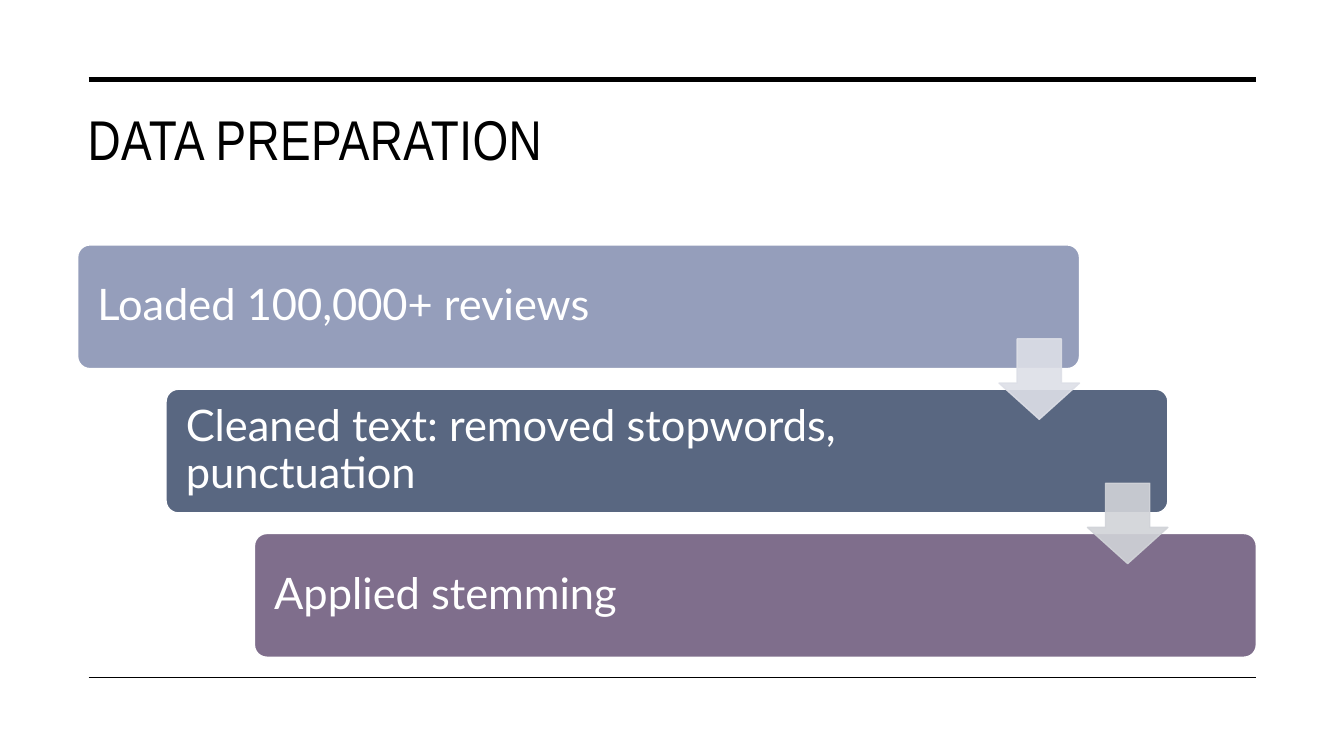
from dataclasses import dataclass

from lxml.etree import SubElement
from pptx import Presentation
from pptx.dml.color import RGBColor
from pptx.enum.shapes import MSO_CONNECTOR, MSO_SHAPE
from pptx.enum.text import MSO_ANCHOR, MSO_AUTO_SIZE, PP_ALIGN
from pptx.oxml.ns import qn
from pptx.util import Inches, Pt

WIDE, HIGH = 13.33, 7.5
STEPS = ["Loaded 100,000+ reviews",
         "Cleaned text: removed stopwords, punctuation",
         "Applied stemming"]


@dataclass(frozen=True)
class Theme:
    """Colours, fonts and type sizes of the slide."""
    ink: str = "000000"
    paper: str = "FFFFFF"
    cards: tuple = ("959EBB", "596781", "7F6E8C")
    arrows: tuple = ("DDDFE7", "D1D3D8")
    head: str = "Arial Narrow"
    body: str = "Lato"
    big: int = 40
    mid: int = 31


THEME = Theme()


def write(shape, text, font, size, color, anchor, pads, lead=1.0, track=0):
    """Set the text of a shape and its format; pads are left, top, right, bottom."""
    frame = shape.text_frame
    frame.word_wrap = True
    frame.auto_size = MSO_AUTO_SIZE.NONE
    frame.vertical_anchor = anchor
    (frame.margin_left, frame.margin_top,
     frame.margin_right, frame.margin_bottom) = map(Inches, pads)
    para = frame.paragraphs[0]
    para.alignment = PP_ALIGN.LEFT
    para.line_spacing = lead
    run = para.add_run()
    run.text = text
    run.font.name = font
    run.font.size = Pt(size)
    run.font.color.rgb = RGBColor.from_string(color)
    if track:
        run.font._element.set("spc", str(track))


def block(slide, kind, box, fill, edge, adjust, alpha=100):
    """Add a filled preset shape in the given box."""
    shape = slide.shapes.add_shape(kind, *map(Inches, box))
    shape.shadow.inherit = False
    shape.fill.solid()
    shape.fill.fore_color.rgb = RGBColor.from_string(fill)
    shape.line.color.rgb = RGBColor.from_string(edge)
    shape.line.width = Pt(1)
    for spot, value in enumerate(adjust):
        shape.adjustments[spot] = value
    if alpha < 100:
        for tint in shape._element.spPr.iter(qn("a:srgbClr")):
            SubElement(tint, qn("a:alpha")).set("val", str(alpha * 1000))
    return shape


def rule(slide, left, right, top, weight):
    """Draw a level line across the slide."""
    line = slide.shapes.add_connector(
        MSO_CONNECTOR.STRAIGHT, *map(Inches, (left, top, right, top)))
    line.line.color.rgb = RGBColor.from_string(THEME.ink)
    line.line.width = Pt(weight)
    SubElement(line._element.spPr, qn("a:effectLst"))


def heading(slide, box, text):
    """Place and format the title."""
    title = slide.shapes.title
    title.left, title.top, title.width, title.height = map(Inches, box)
    write(title, text, THEME.head, THEME.big, THEME.ink,
          MSO_ANCHOR.TOP, (0.1, 0.05, 0.1, 0.05), track=30)


def stairs(slide, box, steps):
    """Lay the steps out as a staircase of cards joined by arrows."""
    left, top, width, height = box
    wide, high = 0.85 * width, 0.3 * height
    spots = [(left + 0.075 * width * n, top + 0.35 * height * n)
             for n in range(len(steps))]
    for n, ((x, y), text, fill) in enumerate(zip(spots, steps, THEME.cards)):
        card = block(slide, MSO_SHAPE.ROUNDED_RECTANGLE, (x, y, wide, high),
                     fill, THEME.paper, [0.1])
        right = wide - (8.5 if n == 0 else 8.1)
        write(card, text, THEME.body, THEME.mid, THEME.paper,
              MSO_ANCHOR.MIDDLE, (0.16, 0.16, right, 0.16), lead=0.9)
    size = 0.65 * high
    for (x, y), fill in zip(spots, THEME.arrows):
        block(slide, MSO_SHAPE.DOWN_ARROW,
              (x + wide - size, y + 0.76 * high, size, size),
              fill, fill, [0.55, 0.45], alpha=90)


def main():
    """Build and save the slide."""
    deck = Presentation()
    deck.slide_width, deck.slide_height = Inches(WIDE), Inches(HIGH)
    slide = deck.slides.add_slide(deck.slide_layouts[5])
    left, width = 0.77, 11.69
    heading(slide, (left, 0.99, width, 1.26), "DATA PREPARATION")
    for top, weight in ((0.79, 3.5), (6.72, 1)):
        rule(slide, 0.88, left + width, top, weight)
    stairs(slide, (left, 2.43, width, 4.09), STEPS)
    deck.save("out.pptx")


if __name__ == "__main__":
    main()
